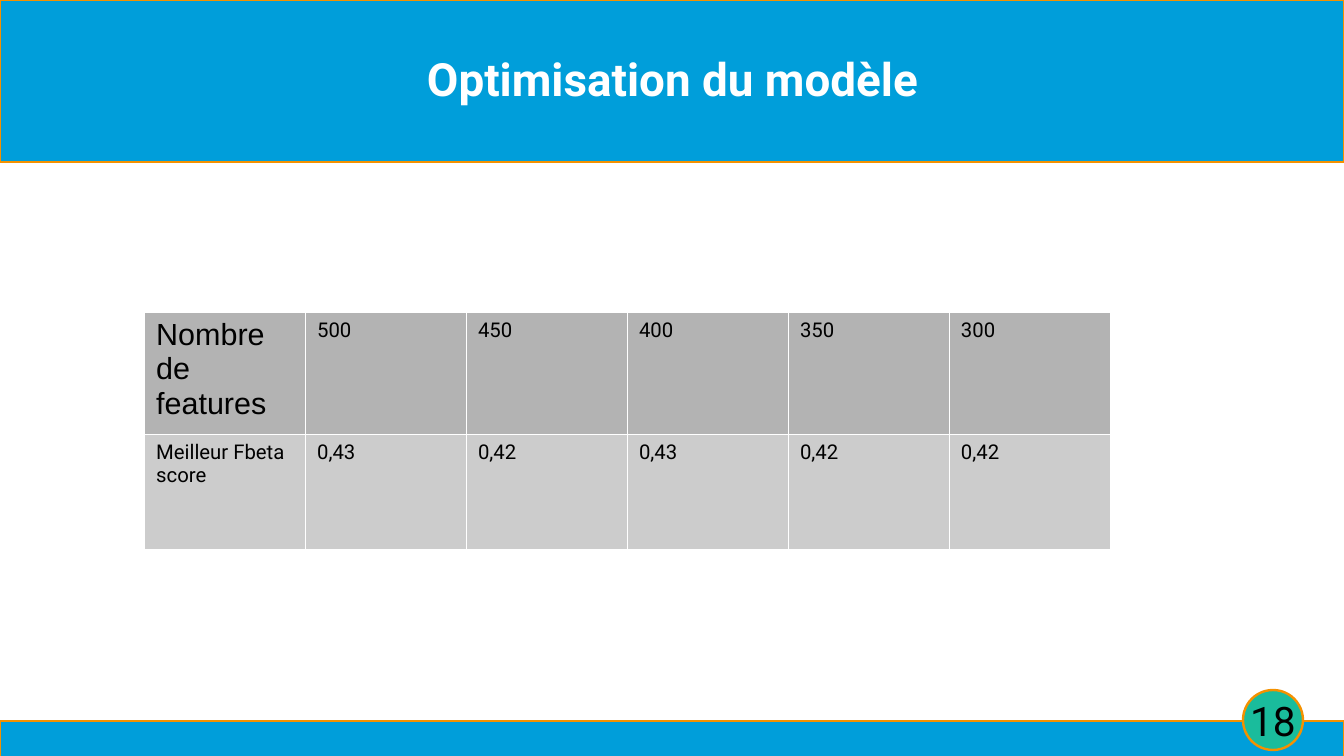
"""Build the model optimisation slide with its score table."""
from lxml import etree
from pptx import Presentation
from pptx import util as u
from pptx.dml.color import RGBColor
from pptx.enum import shapes, text
from pptx.oxml import ns

TITLE = "Optimisation du modèle"
PAGE_NUMBER = "18"
ROWS = [
    ("Nombre de features", "500", "450", "400", "350", "300"),
    ("Meilleur Fbeta score", "0,43", "0,42", "0,43", "0,42", "0,42"),
]
COLOURS = {
    "band": "009EDA", "edge": "F49100", "badge": "1ABC9C", "ink": "000000",
    "white": "FFFFFF", "head": "B3B3B3", "body": "CCCCCC",
}
ROW_FILLS = ("head", "body")
RECT, OVAL = shapes.MSO_SHAPE.RECTANGLE, shapes.MSO_SHAPE.OVAL
PANELS = [
    (RECT, "band", (0, 721, 1344, 36)),
    (RECT, "band", (0, 0, 1344, 162)),
    (OVAL, "badge", (1243, 690, 60, 60)),
]
LABELS = [
    (PAGE_NUMBER, (1225, 684, 96, 72), 24, "ink", False, 5),
    (TITLE, (48, 30, 1249, 96), 27, "white", True, 0),
]
TABLE_LEFT, TABLE_TOP, COLUMN_WIDTH, ROW_HEIGHT = 144, 312, 161, 115
BORDER_EMU = 762
SCALE = 914400 / 122


def px(length):
    return u.Emu(round(length * SCALE))


def colour(name):
    return RGBColor.from_string(COLOURS[name])


def add_span(para, words, size, ink, bold=False, font="Roboto"):
    span = para.add_run()
    span.text = words
    span.font.name = font
    span.font.size = u.Pt(size)
    span.font.bold = bold
    span.font.color.rgb = colour(ink)


def add_panel(page, kind, fill, place):
    panel = page.shapes.add_shape(kind, *map(px, place))
    panel.shadow.inherit = False
    panel.fill.solid()
    panel.fill.fore_color.rgb = colour(fill)
    panel.line.color.rgb = colour("edge")
    panel.line.width = u.Pt(1.42)


def add_label(page, words, place, size, ink, bold, inset):
    frame = page.shapes.add_textbox(*map(px, place)).text_frame
    frame.word_wrap = True
    frame.vertical_anchor = text.MSO_ANCHOR.MIDDLE
    frame.margin_left = frame.margin_right = px(inset)
    frame.margin_top = frame.margin_bottom = px(inset)
    para = frame.paragraphs[0]
    para.alignment = text.PP_ALIGN.CENTER
    add_span(para, words, size, ink, bold)


def add_borders(cell):
    properties = cell._tc.get_or_add_tcPr()
    for position, side in enumerate(("lnL", "lnR", "lnT", "lnB")):
        line = etree.Element(ns.qn(f"a:{side}"), w=str(BORDER_EMU))
        fill = etree.SubElement(line, ns.qn("a:solidFill"))
        etree.SubElement(fill, ns.qn("a:srgbClr"), val=COLOURS["white"])
        properties.insert(position, line)


def add_scores(page):
    columns = len(ROWS[0])
    size = (columns * COLUMN_WIDTH, len(ROWS) * ROW_HEIGHT)
    table = page.shapes.add_table(
        len(ROWS), columns, *map(px, (TABLE_LEFT, TABLE_TOP, *size))).table
    table.first_row = table.horz_banding = False
    for row, values in enumerate(ROWS):
        for column, value in enumerate(values):
            cell = table.cell(row, column)
            cell.fill.solid()
            cell.fill.fore_color.rgb = colour(ROW_FILLS[row])
            add_borders(cell)
            size, font = (18, "Arial") if row == column == 0 else (12, "Roboto")
            add_span(cell.text_frame.paragraphs[0], value, size, "ink", font=font)


def main():
    deck = Presentation()
    deck.slide_width, deck.slide_height = px(1344), px(756)
    page = deck.slides.add_slide(deck.slide_layouts[6])
    for panel in PANELS:
        add_panel(page, *panel)
    for label in LABELS:
        add_label(page, *label)
    add_scores(page)
    deck.save("out.pptx")


if __name__ == "__main__":
    main()
